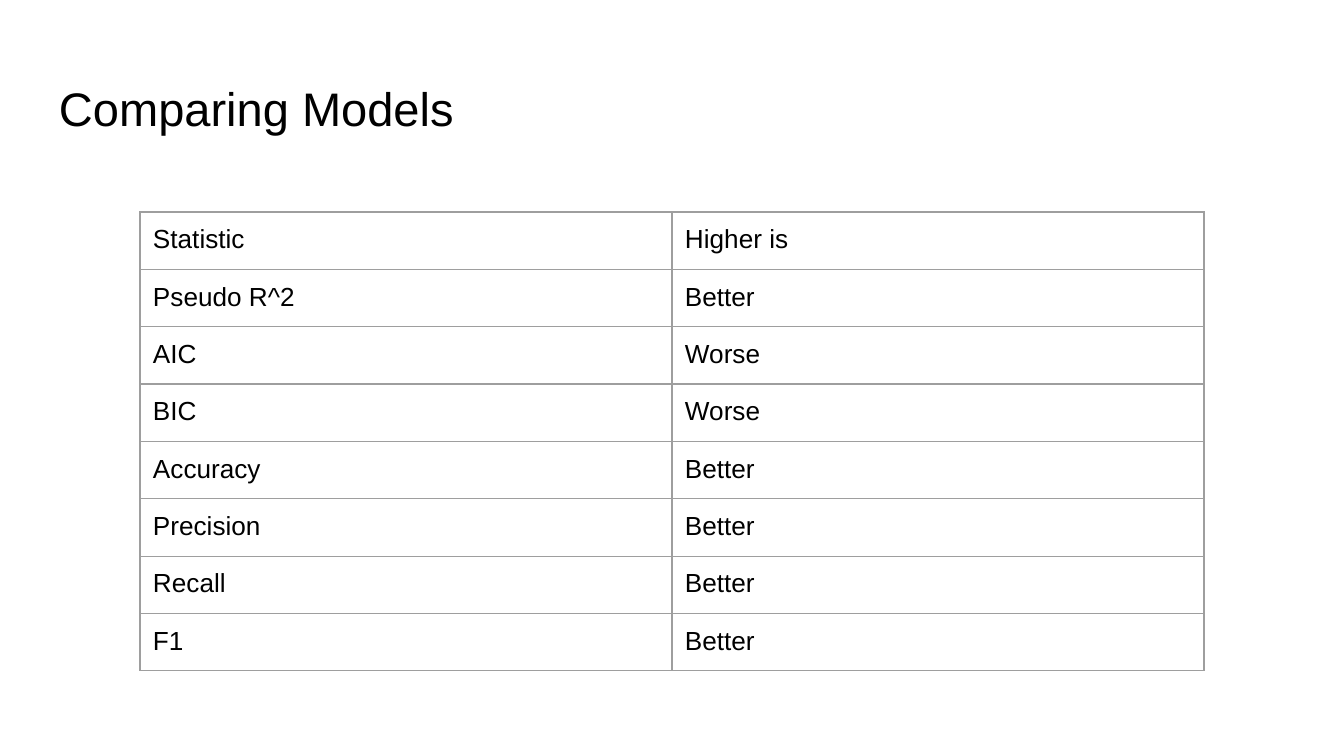
from lxml import etree
from pptx import Presentation
from pptx.dml.color import RGBColor
from pptx.enum import text
from pptx.oxml.ns import qn
from pptx.util import Emu, Pt

TITLE = "Comparing Models"
ROWS = [
    ("Statistic", "Higher is"),
    ("Pseudo R^2", "Better"),
    ("AIC", "Worse"),
    ("BIC", "Worse"),
    ("Accuracy", "Better"),
    ("Precision", "Better"),
    ("Recall", "Better"),
    ("F1", "Better"),
]
SIZE = (1344, 756)
HEAD = (46, 66, 1252, 84)
GRID = (140, 212, 1064, 450)
INK, LINE, PAPER = "000000", "9E9E9E", "FFFFFF"
INSET = 13


def px(n):
    return Emu(round(n * 914400 / 134.4))


def color(code):
    return RGBColor.from_string(code)


def write(frame, words, size):
    run = frame.paragraphs[0].add_run()
    run.text = words
    for key, value in {"name": "Arial", "size": Pt(size)}.items():
        setattr(run.font, key, value)
    run.font.color.rgb = color(INK)


def pad(item):
    for side in ("left", "top", "right", "bottom"):
        setattr(item, "margin_" + side, px(INSET))


def border(cell):
    props = cell._tc.get_or_add_tcPr()
    for at, side in enumerate(("lnL", "lnR", "lnT", "lnB")):
        line = etree.Element(qn("a:" + side), w=str(Pt(0.75)))
        fill = etree.SubElement(line, qn("a:solidFill"))
        etree.SubElement(fill, qn("a:srgbClr"), val=LINE)
        props.insert(at, line)


deck = Presentation()
deck.slide_width, deck.slide_height = map(px, SIZE)
slide = deck.slides.add_slide(deck.slide_layouts[6])
slide.background.fill.solid()
slide.background.fill.fore_color.rgb = color(PAPER)

frame = slide.shapes.add_textbox(*map(px, HEAD)).text_frame
frame.word_wrap = True
frame.vertical_anchor = text.MSO_ANCHOR.MIDDLE
pad(frame)
write(frame, TITLE, 25.2)

table = slide.shapes.add_table(len(ROWS), len(ROWS[0]), *map(px, GRID)).table
for flag in ("first_row", "horz_banding"):
    setattr(table, flag, False)
for row, words in enumerate(ROWS):
    for col, word in enumerate(words):
        cell = table.cell(row, col)
        cell.fill.background()
        pad(cell)
        border(cell)
        write(cell.text_frame, word, 14)

deck.save("out.pptx")
